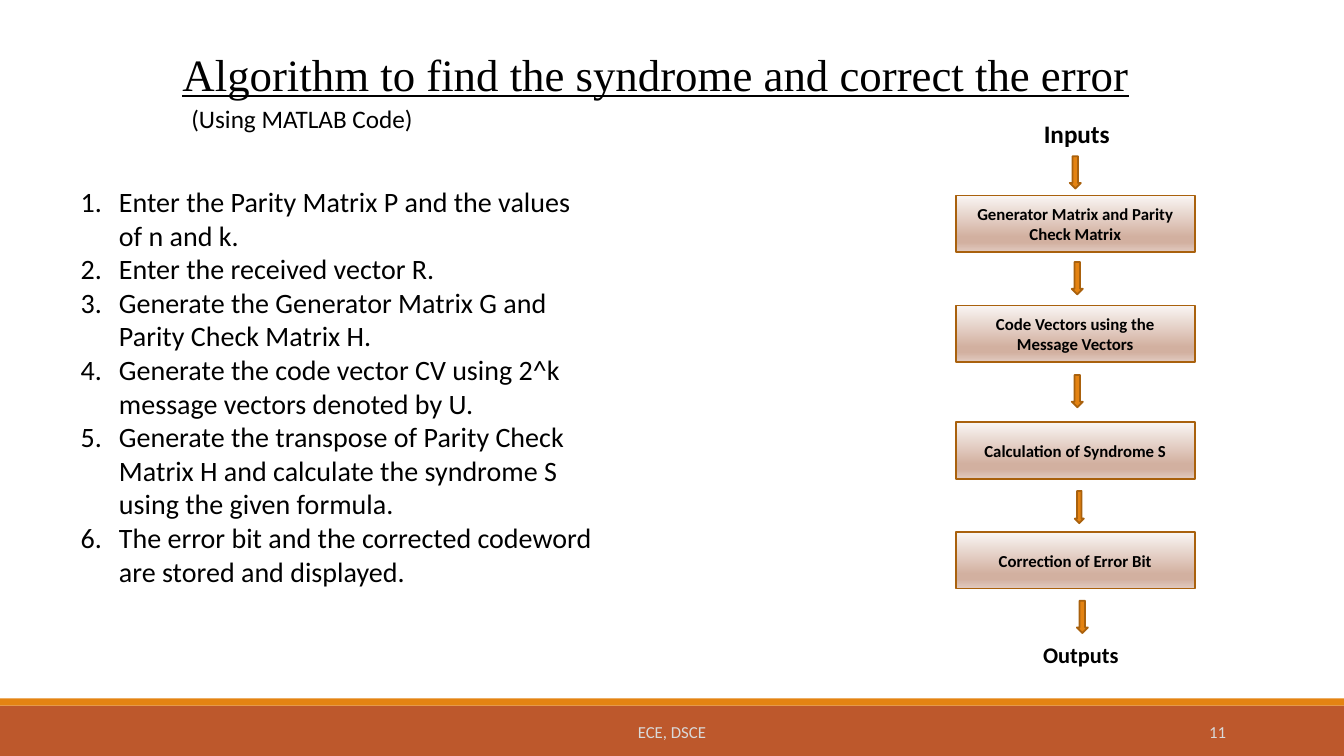
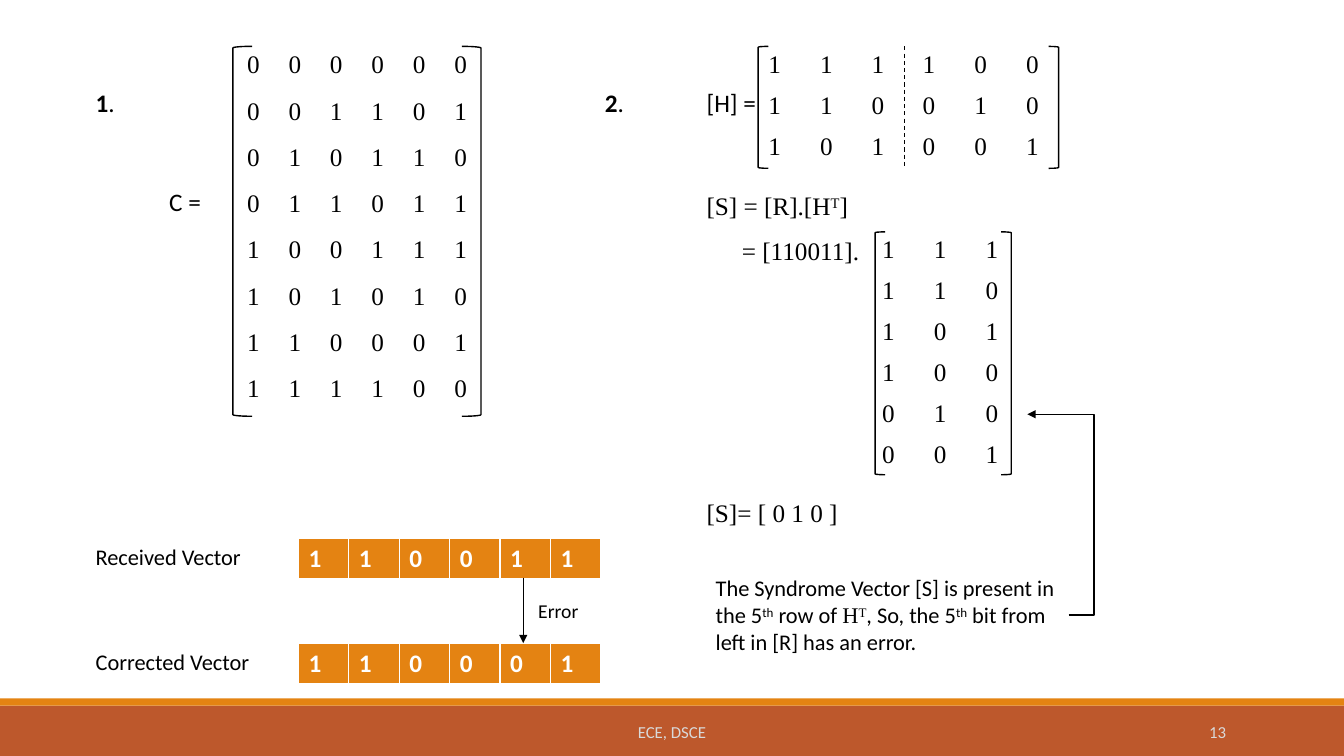
from lxml.etree import SubElement
from pptx import Presentation
from pptx.dml.color import RGBColor
from pptx.enum.dml import MSO_LINE
from pptx.enum.shapes import MSO_CONNECTOR as Link, MSO_SHAPE as Preset
from pptx.enum.text import MSO_ANCHOR as Anchor, MSO_AUTO_SIZE as AutoSize, PP_ALIGN as Align
from pptx.oxml.ns import qn
from pptx.util import Emu, Pt

# Shared look
BLACK, WHITE, GREY = "000000", "FFFFFF", "D9D9D9"
RUST, ORANGE, BROWN = "BD582C", "E48312", "A9610D"
STEP_GRADIENT = [(0, "FAF6F4"), (74, "D2B0A0"), (83, "D2B0A0"), (100, "E1CAC0")]
SANS, SERIF = "Calibri", "Times New Roman"
PAGE_WIDTH, PAGE_HEIGHT = 1333, 750
SUPER = {"raised": True}


def px(*lengths):
    """Turn px (100 to the inch) into EMU."""
    return [Emu(length * 9144) for length in lengths]


def color(code):
    return RGBColor.from_string(code)


# Text
def add_run(para, text, size, face=SANS, ink=BLACK, bold=False, underline=False, raised=False):
    span = para.add_run()
    span.text = text
    font = span.font
    font.size, font.name, font.bold, font.underline = Pt(size), face, bold, underline
    font.color.rgb = color(ink)
    if raised:
        span._r.get_or_add_rPr().set("baseline", "30000")


def write(para, spans, align=Align.LEFT, **style):
    """Spans are one text, or a list of (text, changes to the style)."""
    para.alignment = align
    for text, changes in [(spans, {})] if isinstance(spans, str) else spans:
        add_run(para, text, **{**style, **changes})


def add_text(page, box, spans, anchor=Anchor.TOP, **style):
    frame = page.shapes.add_textbox(*px(*box)).text_frame
    frame.word_wrap = True
    frame.vertical_anchor = anchor
    write(frame.paragraphs[0], spans, **style)


def place(holder, box):
    """Move a placeholder and return its text frame, set from the top."""
    holder.left, holder.top, holder.width, holder.height = px(*box)
    frame = holder.text_frame
    frame.auto_size = AutoSize.NONE
    frame.vertical_anchor = Anchor.TOP
    return frame


def set_indent(para, margin, first=0):
    properties = para._p.get_or_add_pPr()
    for name, length in zip(("marL", "indent"), px(margin, first)):
        properties.set(name, str(length))
    return properties


# Shapes and lines
def add_preset(page, preset, box, fill=None, line=None, weight=1.0):
    shape = page.shapes.add_shape(preset, *px(*box))
    shape.shadow.inherit = False
    if fill:
        shape.fill.solid()
        shape.fill.fore_color.rgb = color(fill)
    else:
        shape.fill.background()
    if line:
        shape.line.color.rgb = color(line)
        shape.line.width = Pt(weight)
    else:
        shape.line.fill.background()
    return shape


def fill_gradient(shape, stops):
    shape.fill.gradient()
    shape.fill.gradient_angle = 270
    stop_list = shape.element.spPr.find(".//" + qn("a:gsLst"))
    for stop in list(stop_list):
        stop_list.remove(stop)
    for percent, code in stops:
        stop = SubElement(stop_list, qn("a:gs"), pos=str(percent * 1000))
        SubElement(stop, qn("a:srgbClr"), val=code)


def add_line(page, ends, kind=Link.STRAIGHT, weight=1.0, dashed=False, arrow=False, bend=None):
    link = page.shapes.add_connector(kind, *px(*ends))
    link.line.color.rgb = color(BLACK)
    link.line.width = Pt(weight)
    if dashed:
        link.line.dash_style = MSO_LINE.DASH
    properties = link.element.spPr
    if arrow:
        SubElement(properties.find(qn("a:ln")), qn("a:tailEnd"), type="triangle")
    if bend is not None:
        guides = properties.find(qn("a:prstGeom")).get_or_add_avLst()
        SubElement(guides, qn("a:gd"), name="adj1", fmla=f"val {bend}")
    SubElement(properties, qn("a:effectLst"))


def add_grid(page, box, rows, fill, row_height=None, **style):
    """A table of single digits; each row is a string."""
    holder = page.shapes.add_table(len(rows), len(rows[0]), *px(*box))
    table = holder.table
    table.horz_banding = False
    for row, digits in enumerate(rows):
        if row_height:
            table.rows[row].height = px(row_height)[0]
        for column, digit in enumerate(digits):
            cell = table.cell(row, column)
            cell.fill.solid()
            cell.fill.fore_color.rgb = color(fill)
            write(cell.text_frame.paragraphs[0], digit, **style)
    holder.height = px(box[3])[0]


def add_matrix(page, left, top, rows):
    add_grid(page, (left, top, 154, 122), rows, WHITE, size=18, face=SERIF)


def add_brackets(page, box, depth):
    """A pair of square brackets along the sides of the box."""
    left, top, width, height = box
    for edge, turn in ((left, 0), (left + width - depth, 180)):
        bracket = add_preset(page, Preset.LEFT_BRACKET, (edge, top, depth, height), line=BLACK)
        bracket.rotation = turn


# Parts that every slide has
def add_bands(page):
    """Draw the bottom bands and hand them to the slide master."""
    master_tree = page.slide_layout.slide_master.shapes.element
    for top, height, fill in ((693, 7, ORANGE), (700, 50, RUST)):
        band = add_preset(page, Preset.RECTANGLE, (0, top, PAGE_WIDTH, height), fill)
        master_tree.insert(2, band.element)


def add_footer(page, number):
    for left, width, text, align in ((403, 527, "ECE, DSCE", Align.CENTER),
                                     (1083, 143, number, Align.RIGHT)):
        add_text(page, (left, 706, width, 40), text, Anchor.MIDDLE,
                 size=12, ink=GREY, align=align)


# Slide: algorithm
ALGORITHM = [
    "Enter the Parity Matrix P and the values of n and k.",
    "Enter the received vector R.",
    "Generate the Generator Matrix G and Parity Check Matrix H.",
    "Generate the code vector CV using 2^k message vectors denoted by U.",
    "Generate the transpose of Parity Check Matrix H and calculate the syndrome S "
    "using the given formula.",
    "The error bit and the corrected codeword are stored and displayed.",
]
FLOW_STEPS = [
    (82, "Generator Matrix and Parity Check Matrix"),
    (191, "Code Vectors using the Message Vectors"),
    (307, "Calculation of Syndrome S"),
    (416, "Correction of Error Bit"),
]
FLOW_ARROWS = [(113, 43, 11), (115, 148, 11), (115, 260, 11), (118, 375, 9), (120, 484, 11)]


def add_numbered_list(holder, box, items):
    frame = place(holder, box)
    for index, item in enumerate(items):
        para = frame.paragraphs[0] if index == 0 else frame.add_paragraph()
        write(para, item, size=20)
        para.space_before = Pt(0)
        properties = set_indent(para, 38, -38)
        SubElement(properties, qn("a:buFont"), typeface="+mj-lt")
        SubElement(properties, qn("a:buAutoNum"), type="arabicPeriod")


def add_flow(page, left, top):
    bold = {"bold": True, "align": Align.CENTER}
    add_text(page, (left + 74, top, 92, 40), "Inputs", size=18, **bold)
    for offset, label in FLOW_STEPS:
        step = add_preset(page, Preset.RECTANGLE, (left, top + offset, 237, 56),
                          line=BROWN, weight=1.25)
        fill_gradient(step, STEP_GRADIENT)
        frame = step.text_frame
        frame.word_wrap = True
        frame.vertical_anchor = Anchor.MIDDLE
        write(frame.paragraphs[0], label, size=12, **bold)
    for across, down, width in FLOW_ARROWS:
        add_preset(page, Preset.DOWN_ARROW, (left + across, top + down, width, 32),
                   ORANGE, BROWN, 1.25)
    add_text(page, (left + 76, top + 519, 96, 37), "Outputs", size=16, **bold)


def build_algorithm(page):
    title, body = page.placeholders
    frame = place(title, (180, 45, 973, 55))
    frame.margin_left = frame.margin_right = frame.margin_bottom = 0
    frame.margin_top = px(1)[0]
    heading = frame.paragraphs[0]
    heading.space_before = Pt(1)
    set_indent(heading, 1)
    write(heading, "Algorithm to find the syndrome and correct the error",
          size=32, face=SERIF, underline=True)
    add_text(page, (180, 98, 260, 40), "(Using MATLAB Code)", size=18)
    add_numbered_list(body, (70, 178, 528, 444), ALGORITHM)
    add_flow(page, 948, 112)


# Slide: worked example
CODE_WORDS = ["000000", "001101", "010110", "011011", "100111", "101010", "110001", "111100"]
PARITY = ["111", "110", "101"]
IDENTITY = ["100", "010", "001"]


def add_code_words(page, left, top):
    add_text(page, (left, top + 36, 50, 40), [("1", {"bold": True}), (".", {})], size=18)
    add_text(page, (left + 73, top + 134, 70, 40), "C =", size=18)
    add_grid(page, (left + 150, top, 247, 367), CODE_WORDS, WHITE, size=18, face=SERIF)
    add_brackets(page, (left + 146, top, 246, 367), 19)


def add_vectors(page, left, top):
    for offset, label, digits in ((0, "Received Vector", "110011"),
                                  (104, "Corrected Vector", "110001")):
        add_text(page, (left, top + offset, 211, 37), label, size=16)
        add_grid(page, (left + 211, top + offset, 300, 40), [digits], ORANGE,
                 row_height=25, size=18, ink=WHITE, bold=True)
    add_line(page, (left + 434, top + 39, left + 434, top + 104), arrow=True)
    add_text(page, (left + 439, top + 55, 113, 34), "Error", size=14)


def add_syndrome(page, left, top):
    serif = {"size": 18, "face": SERIF}
    add_text(page, (left, top + 36, 52, 40), [("2", {"bold": True}), (".", {})], size=18)
    # Check matrix: parity part beside the identity
    add_text(page, (left + 101, top + 36, 80, 40), "[H] =", size=18)
    for across, rows in ((315, IDENTITY), (162, PARITY)):
        add_matrix(page, left + across, top, rows)
    add_brackets(page, (left + 162, top, 298, 121), 10)
    add_line(page, (left + 307, top, left + 307, top + 121), weight=0.75, dashed=True)
    # Product and result: parity part above the identity
    add_text(page, (left + 101, top + 138, 166, 40),
             [("[S] = [R].[H", {}), ("T", SUPER), ("]", {})], **serif)
    add_text(page, (left + 136, top + 183, 190, 40), "= [110011].", **serif)
    for down, rows in ((183, PARITY), (305, IDENTITY)):
        add_matrix(page, left + 275, top + down, rows)
    add_brackets(page, (left + 278, top + 184, 135, 241), 10)
    add_text(page, (left + 101, top + 442, 166, 40), "[S]= [ 0 1 0 ]", **serif)
    # Conclusion, pointing at the fifth row
    add_text(page, (left + 110, top + 519, 360, 91), [
        ("The Syndrome Vector [S] is present in the 5", {}), ("th", SUPER), (" row of ", {}),
        ("H", {"face": SERIF}), ("T", {"face": SERIF, **SUPER}),
        (", So, the 5", {}), ("th", SUPER), (" bit from left in [R] has an error.", {}),
    ], size=16)
    add_line(page, (left + 470, top + 564, left + 429, top + 365), Link.ELBOW,
             arrow=True, bend=-60900)


def build_example(page):
    add_code_words(page, 85, 46)
    add_syndrome(page, 590, 46)
    add_vectors(page, 85, 534)


def main():
    deck = Presentation()
    deck.slide_width, deck.slide_height = px(PAGE_WIDTH, PAGE_HEIGHT)
    pages = [(1, build_algorithm, "11"), (6, build_example, "13")]
    for index, (layout, build, number) in enumerate(pages):
        page = deck.slides.add_slide(deck.slide_layouts[layout])
        if index == 0:
            add_bands(page)
        build(page)
        add_footer(page, number)
    deck.save("out.pptx")


if __name__ == "__main__":
    main()
